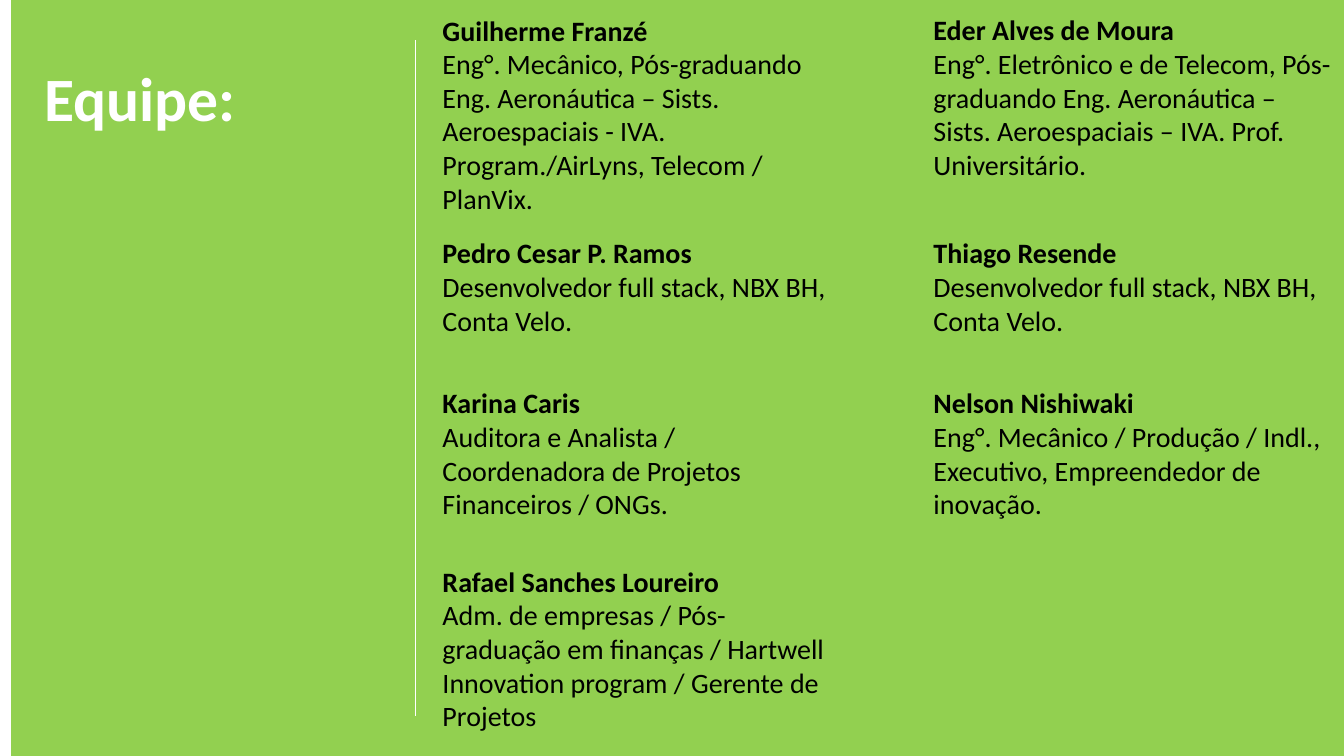
from lxml.etree import SubElement
from pptx import Presentation
from pptx.dml.color import RGBColor
from pptx.enum.shapes import MSO_CONNECTOR, MSO_SHAPE
from pptx.enum.text import MSO_ANCHOR, MSO_AUTO_SIZE, PP_ALIGN
from pptx.oxml.ns import qn
from pptx.util import Inches, Pt

SLIDE_W, SLIDE_H = 13.33, 7.5
GREEN, WHITE, BLACK = "92D050", "FFFFFF", "000000"
FONT = "Calibri"

# Team grid: left edges of the columns, top edges of the rows
COLUMNS = (4.29, 9.16)
ROWS = (0.08, 2.29, 3.78, 5.55)
CARD_W = 4.15
LINE_H, CARD_PADDING = 0.34, 0.1

DEVELOPER = ("Desenvolvedor full stack, NBX BH,", "Conta Velo.")

# Column, row, width, lines of room, name, paragraphs of the profile
TEAM = (
    (0, 0, CARD_W, 7, "Guilherme Franzé",
     ("Eng°. Mecânico, Pós-graduando Eng. Aeronáutica – Sists. "
      "Aeroespaciais - IVA. Program./AirLyns, Telecom / PlanVix.",)),
    (1, 0, CARD_W, 5, "Eder Alves de Moura",
     ("Eng°. Eletrônico e de Telecom, Pós-graduando Eng. Aeronáutica – "
      "Sists. Aeroespaciais – IVA. Prof. Universitário.",)),
    (0, 1, 4.4, 3, "Pedro Cesar P. Ramos", DEVELOPER),
    (1, 1, CARD_W, 3, "Thiago Resende", DEVELOPER),
    (0, 2, CARD_W, 4, "Karina Caris",
     ("Auditora e Analista / Coordenadora de Projetos Financeiros / ONGs.",)),
    (1, 2, CARD_W, 4, "Nelson Nishiwaki",
     ("Eng°. Mecânico / Produção / Indl., Executivo, Empreendedor de "
      "inovação.",)),
    (0, 3, CARD_W, 5, "Rafael Sanches Loureiro",
     ("Adm. de empresas / Pós-graduação em finanças / Hartwell "
      "Innovation program / Gerente de Projetos",)),
)


def color(hex_value):
    return RGBColor.from_string(hex_value)


def style(paragraph, size, hex_value, bold):
    paragraph.alignment = PP_ALIGN.LEFT
    for run in paragraph.runs:
        run.font.name = FONT
        run.font.size = Pt(size)
        run.font.bold = bold
        run.font.color.rgb = color(hex_value)


def add_background(slide, left, top, width, height):
    panel = slide.shapes.add_shape(
        MSO_SHAPE.RECTANGLE, *map(Inches, (left, top, width, height)))
    panel.shadow.inherit = False
    panel.fill.solid()
    panel.fill.fore_color.rgb = color(GREEN)
    panel.line.fill.background()
    # The panel lies behind the title
    slide.shapes.title.element.addprevious(panel.element)


def add_heading(slide, left, top, width, height):
    heading = slide.shapes.title
    heading.left, heading.top = Inches(left), Inches(top)
    heading.width, heading.height = Inches(width), Inches(height)
    frame = heading.text_frame
    frame.text = "Equipe:"
    frame.word_wrap = True
    frame.auto_size = MSO_AUTO_SIZE.NONE
    frame.vertical_anchor = MSO_ANCHOR.MIDDLE
    frame.paragraphs[0].line_spacing = 0.9
    style(frame.paragraphs[0], 44, WHITE, True)


def add_divider(slide, x, top, bottom):
    divider = slide.shapes.add_connector(
        MSO_CONNECTOR.STRAIGHT, *map(Inches, (x, top, x, bottom)))
    divider.line.color.rgb = color(WHITE)
    divider.line.width = Pt(0.25)
    SubElement(divider.element.spPr, qn("a:effectLst"))


def add_member(slide, left, top, width, height, name, profile):
    card = slide.shapes.add_textbox(*map(Inches, (left, top, width, height)))
    frame = card.text_frame
    frame.word_wrap = True
    frame.auto_size = MSO_AUTO_SIZE.SHAPE_TO_FIT_TEXT
    frame.text = "\n".join((name, *profile))
    for index, paragraph in enumerate(frame.paragraphs):
        style(paragraph, 20, BLACK, index == 0)


def add_team(slide):
    for column, row, width, lines, name, profile in TEAM:
        height = lines * LINE_H + CARD_PADDING
        add_member(slide, COLUMNS[column], ROWS[row], width, height,
                   name, profile)


def main():
    deck = Presentation()
    deck.slide_width, deck.slide_height = Inches(SLIDE_W), Inches(SLIDE_H)
    slide = deck.slides.add_slide(deck.slide_layouts.get_by_name("Title Only"))
    add_background(slide, 0.11, 0, SLIDE_W - 0.11, SLIDE_H)
    add_heading(slide, 0.34, 0.4, 3.78, 1.22)
    add_divider(slide, 4.12, 0.4, SLIDE_H - 0.4)
    add_team(slide)
    deck.save("out.pptx")


if __name__ == "__main__":
    main()
